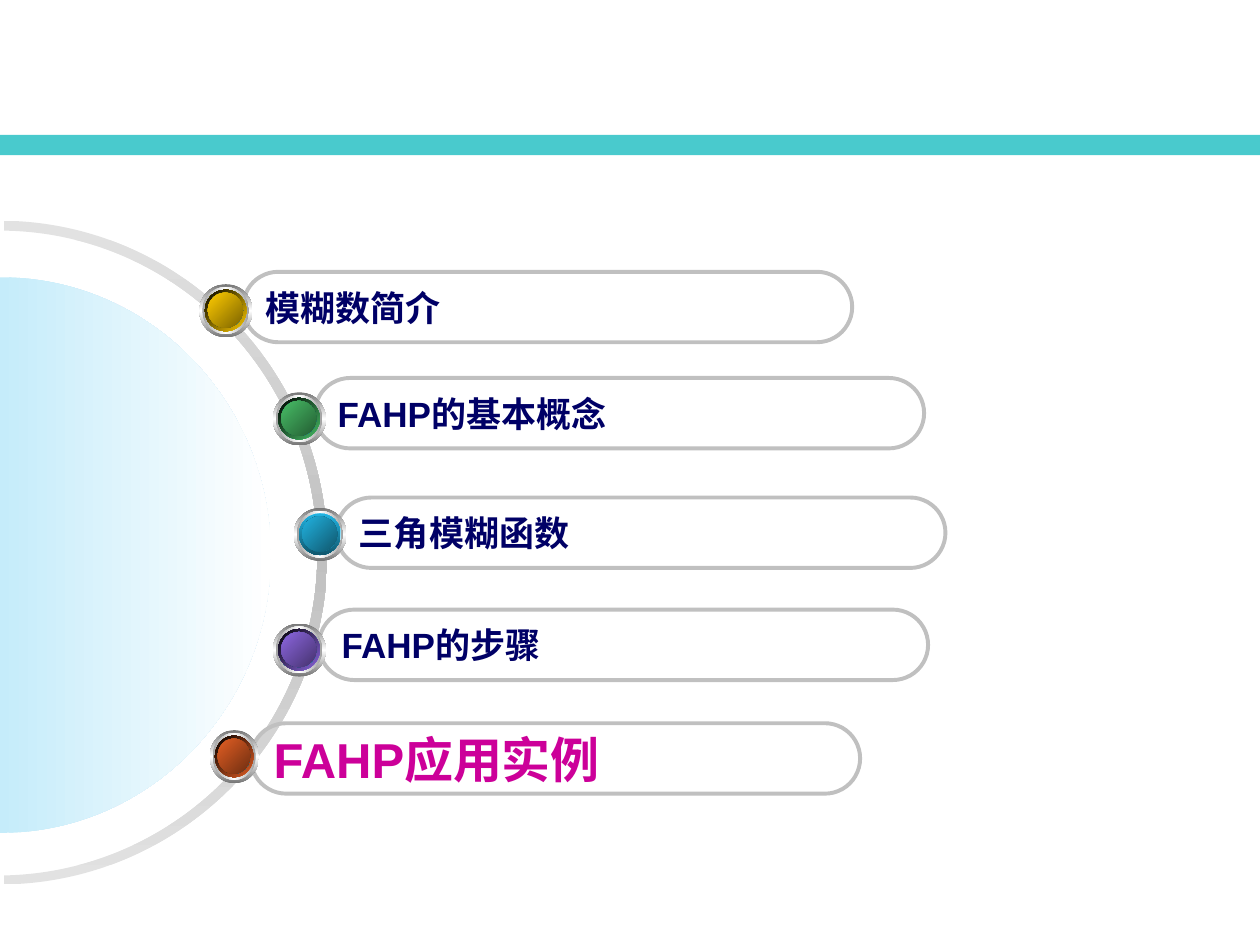
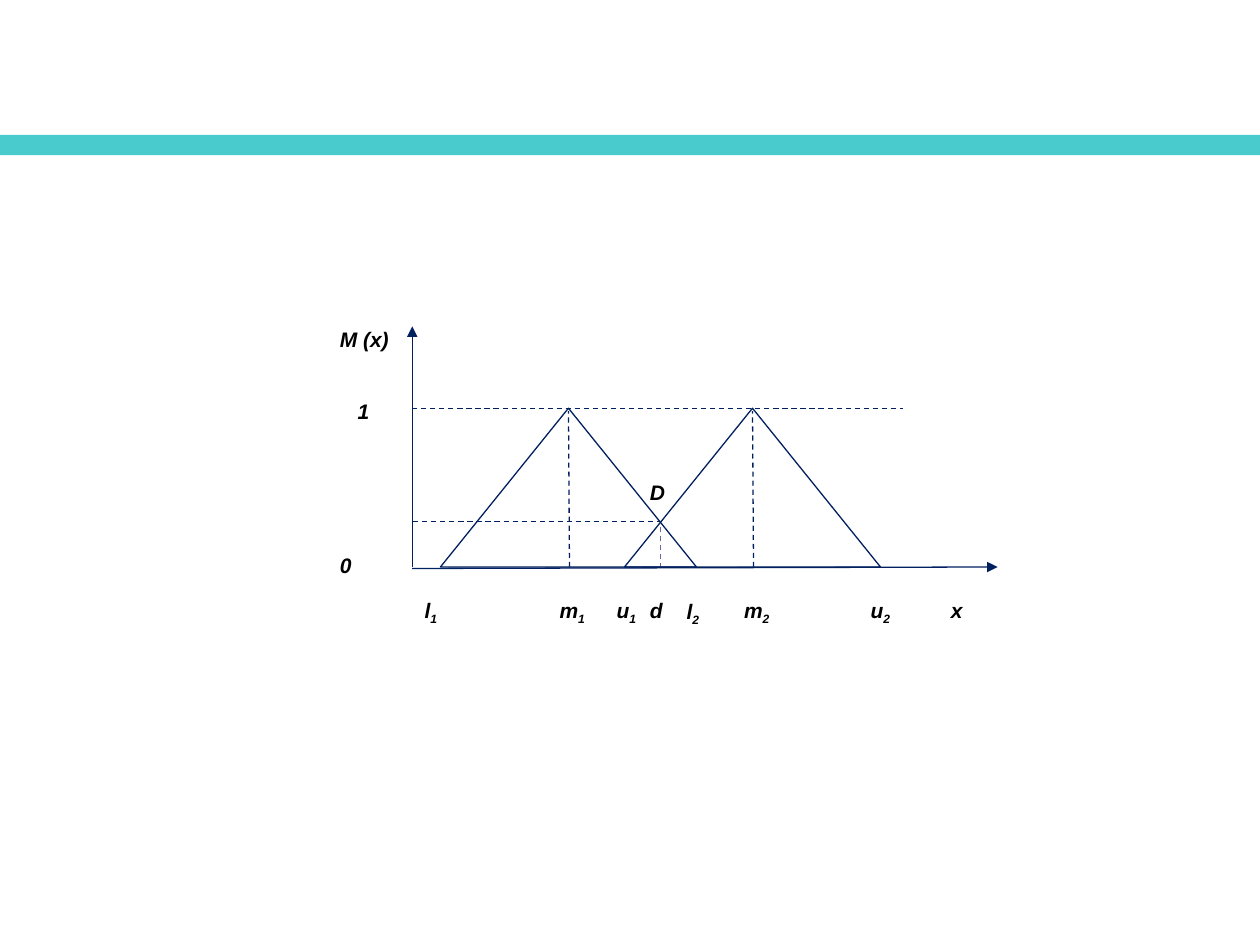
import pptx
import pptx.util
from lxml import etree
from pptx.dml.color import RGBColor
from pptx.enum.dml import MSO_LINE
from pptx.enum.shapes import MSO_CONNECTOR, MSO_SHAPE
from pptx.enum.text import MSO_ANCHOR, PP_ALIGN
from pptx.oxml.ns import qn

Cm, Pt = pptx.util.Cm, pptx.util.Pt

TEAL = RGBColor(0x49, 0xCA, 0xCD)
NAVY = RGBColor(0x00, 0x20, 0x60)
INDIGO = RGBColor(0x00, 0x00, 0x66)
MAGENTA = RGBColor(0xCC, 0x00, 0x99)
SLATE = RGBColor(0x66, 0x66, 0x99)
BLACK = RGBColor(0x00, 0x00, 0x00)
WHITE = RGBColor(0xFF, 0xFF, 0xFF)
SILVER = RGBColor(0xC0, 0xC0, 0xC0)
PALE_GREY = RGBColor(0xE2, 0xE2, 0xE2)
MID_GREY = RGBColor(0xA2, 0xA2, 0xA2)
DARK_GREY = RGBColor(0x76, 0x76, 0x76)
PALE_BLUE = RGBColor(0xC5, 0xEC, 0xFA)
SKY = RGBColor(0x28, 0xBF, 0xEE)
DEEP_SKY = RGBColor(0x16, 0x67, 0x81)
GOLD, DARK_GOLD = RGBColor(0xFF, 0xCC, 0x00), RGBColor(0x7C, 0x63, 0x00)
GREEN, DARK_GREEN = RGBColor(0x48, 0xBE, 0x67), RGBColor(0x23, 0x5C, 0x32)
BLUE, DARK_BLUE = RGBColor(0x21, 0xB3, 0xE1), RGBColor(0x10, 0x57, 0x6D)
VIOLET, DARK_VIOLET = RGBColor(0x8D, 0x67, 0xE1), RGBColor(0x45, 0x32, 0x6D)
RUST, DARK_RUST = RGBColor(0xE3, 0x5E, 0x23), RGBColor(0x6E, 0x2E, 0x11)


def paint_gradient(sp, colors, angle):
    """Fill with evenly spaced stops; angle runs clockwise. No outline."""
    sp.shadow.inherit = False
    sp.line.fill.background()
    sp.fill.gradient()
    sp.fill.gradient_angle = (360 - angle) % 360
    stops = sp.element.spPr.find(".//" + qn("a:gsLst"))
    for stop in list(stops):
        stops.remove(stop)
    for i, color in enumerate(colors):
        stop = etree.SubElement(stops, qn("a:gs"), pos=str(100000 * i // (len(colors) - 1)))
        etree.SubElement(stop, qn("a:srgbClr"), val=str(color))


def add_line(s, start, end, color=NAVY, dash=False, arrow=False):
    ln = s.shapes.add_connector(MSO_CONNECTOR.STRAIGHT, *[Cm(v) for v in start + end])
    ln.line.color.rgb = color
    ln.line.width = Pt(0.75)
    if dash:
        ln.line.dash_style = MSO_LINE.DASH
    if arrow:
        etree.SubElement(ln.line._get_or_add_ln(), qn("a:tailEnd"), type="triangle")
    etree.SubElement(ln.element.spPr, qn("a:effectLst"))


prs = pptx.Presentation()
prs.slide_width, prs.slide_height = Cm(25.4), Cm(19.05)
layout = prs.slide_layouts[6]

# Slide 1: agenda
s = prs.slides.add_slide(layout)

# Band, moved to the layout so both slides share it
band = s.shapes.add_shape(MSO_SHAPE.RECTANGLE, 0, Cm(2.72), prs.slide_width, Cm(0.41))
band.shadow.inherit = False
band.fill.solid()
band.fill.fore_color.rgb = TEAL
band.line.fill.background()
layout.shapes.element.insert(2, band.element)

# Half ring and half disc at the left edge, as Bezier control points
ring_points = [(0.08, 4.65), (3.58, 4.7), (6.4, 7.59), (6.4, 11.15),
               (6.4, 14.71), (3.58, 17.58), (0.08, 17.65), (0.08, 17.83),
               (3.68, 17.78), (6.6, 14.81), (6.6, 11.15),
               (6.6, 7.49), (3.68, 4.5), (0.08, 4.45)]
disc_points = [(0, 5.59), (3.02, 5.59), (5.46, 8.1), (5.46, 11.18),
               (5.46, 14.27), (3.02, 16.79), (0, 16.79)]
for points, curve_starts, colors, angle in (
        (ring_points, (0, 3, 7, 10), (PALE_GREY, SILVER, PALE_GREY), 90),
        (disc_points, (0, 3), (PALE_BLUE, WHITE), 0)):
    points = [(Cm(x), Cm(y)) for x, y in points]
    builder = s.shapes.build_freeform(*points[0])
    builder.add_line_segments(points[1:])
    sp = builder.convert_to_shape()
    # Three straight segments become one curve
    segments = list(sp.element.iter(qn("a:lnTo")))
    for start in curve_starts:
        curve = etree.Element(qn("a:cubicBezTo"))
        segments[start].addprevious(curve)
        for segment in segments[start:start + 3]:
            curve.append(segment[0])
            segment.getparent().remove(segment)
    paint_gradient(sp, colors, angle)

# text, pill left and top, ball left, top and width, light and dark colour
topics = [
    ("模糊数简介", 4.9, 5.48, 4.02, 5.73, 1.07, GOLD, DARK_GOLD),
    ("FAHP的基本概念", 6.35, 7.62, 5.5, 7.91, 1.07, GREEN, DARK_GREEN),
    ("三角模糊函数", 6.78, 10.03, 5.92, 10.24, 1.07, BLUE, DARK_BLUE),
    ("FAHP的步骤", 6.43, 12.29, 5.5, 12.57, 1.07, VIOLET, DARK_VIOLET),
    ("FAHP应用实例", 5.06, 14.58, 4.23, 14.72, 0.99, RUST, DARK_RUST),
]

# Topic pills
for text, left, top, *ball in reversed(topics):
    sp = s.shapes.add_shape(MSO_SHAPE.ROUNDED_RECTANGLE, Cm(left), Cm(top), Cm(12.28), Cm(1.42))
    sp.adjustments[0] = 0.5
    sp.shadow.inherit = False
    sp.fill.background()
    sp.line.color.rgb = SILVER
    sp.line.width = Pt(2.25)
    tf = sp.text_frame
    tf.vertical_anchor = MSO_ANCHOR.MIDDLE
    p = tf.paragraphs[0]
    p.alignment = PP_ALIGN.LEFT
    r = p.add_run()
    r.text = text
    current = text == topics[-1][0]
    for name, value in {"name": "Arial", "bold": True, "size": Pt(28 if current else 20)}.items():
        setattr(r.font, name, value)
    r.font.color.rgb = MAGENTA if current else INDIGO

# Glossy balls, each a stack of ellipses
for _, _, _, left, top, width, light, dark in topics:
    rim, rim_angle = ((light, dark), 90) if light == BLUE else ((light, BLACK), 225)
    layers = [
        (0, 1.07, (DARK_GREY, WHITE, DARK_GREY), 90),
        (0.06, 0.94, (MID_GREY, WHITE, MID_GREY), 180),
        (0.11, 0.84, (WHITE, SKY, WHITE), 225),
        (0.11, 0.84, rim, rim_angle),
        (0.17, 0.71, (DEEP_SKY, SKY, DEEP_SKY), 135),
        (0.17, 0.71, (dark, light), 225),
    ]
    squeeze = width / 1.07
    for inset, size, colors, angle in layers:
        sp = s.shapes.add_shape(MSO_SHAPE.OVAL, Cm(left + inset * squeeze), Cm(top + inset),
                                Cm(size * squeeze), Cm(size))
        paint_gradient(sp, colors, angle)

# Slide 2: two triangular fuzzy numbers
s = prs.slides.add_slide(layout)
AXIS_X, BASE_Y, PEAK_Y = 8.31, 11.43, 8.23
TRIANGLE_W = 5.16
CROSS_X, CROSS_Y = 13.31, 10.51

# Axes and guide lines
add_line(s, (AXIS_X, 11.46), (20.11, BASE_Y), arrow=True)
add_line(s, (AXIS_X, BASE_Y), (AXIS_X, 6.58), arrow=True)
add_line(s, (AXIS_X, PEAK_Y), (18.21, PEAK_Y), dash=True)
add_line(s, (8.33, CROSS_Y), (CROSS_X, CROSS_Y), dash=True)
add_line(s, (CROSS_X, 11.46), (CROSS_X, 10.62), SLATE, dash=True)

# Triangles with their centre lines
for left in (8.88, 12.59):
    sp = s.shapes.add_shape(MSO_SHAPE.ISOSCELES_TRIANGLE, Cm(left), Cm(PEAK_Y),
                            Cm(TRIANGLE_W), Cm(BASE_Y - PEAK_Y))
    sp.shadow.inherit = False
    sp.fill.background()
    sp.line.color.rgb = NAVY
    sp.line.width = Pt(0.75)
    middle = left + TRIANGLE_W / 2
    add_line(s, (middle + 0.02, BASE_Y), (middle, 8.29), dash=True)

# Labels: text, subscript, left, top, width
LABEL_Y = 11.92
labels = [
    ("M (x)", "", 6.6, 6.45, 1.98), ("1", "", 6.96, 7.9, 0.8), ("0", "", 6.6, 11.01, 2.54),
    ("D", "", 12.85, 9.55, 0.91),
    ("l", "1", 8.31, LABEL_Y, 0.91), ("m", "1", 11.03, LABEL_Y, 1.07),
    ("u", "1", 12.18, LABEL_Y, 1.17), ("d", "", 12.85, LABEL_Y, 0.91),
    ("l", "2", 13.59, 11.94, 0.91), ("m", "2", 14.75, LABEL_Y, 1.24),
    ("u", "2", 17.3, LABEL_Y, 1.32), ("x", "", 18.92, LABEL_Y, 0.8),
]
for text, subscript, left, top, width in labels:
    tf = s.shapes.add_textbox(Cm(left), Cm(top), Cm(width), Cm(0.91)).text_frame
    tf.word_wrap = True
    p = tf.paragraphs[0]
    for part in filter(None, (text, subscript)):
        r = p.add_run()
        r.text = part
        for name, value in {"name": "Arial", "size": Pt(12), "bold": True, "italic": True}.items():
            setattr(r.font, name, value)
        r.font.color.rgb = BLACK
    if subscript:
        r._r.get_or_add_rPr().set("baseline", "-25000")

prs.save("out.pptx")
